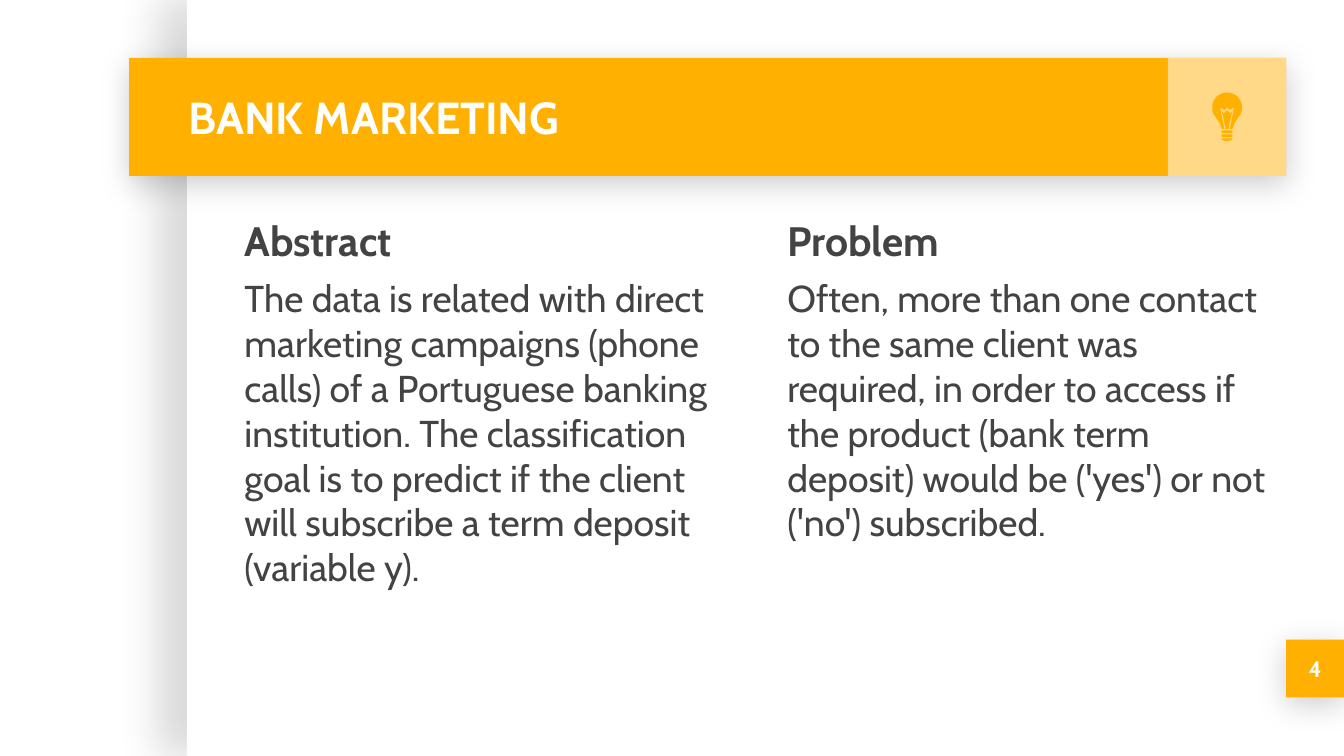
"""Build the bank marketing slide with its abstract and problem columns."""
from dataclasses import dataclass

from lxml import etree
from pptx import Presentation
from pptx import util as u
from pptx.dml import color as c
from pptx.enum import shapes, text
from pptx.oxml import ns


@dataclass(frozen=True)
class Theme:
    """Colours, font and type sizes of the slide."""
    font: str = "Cabin"
    accent: str = "FFB000"
    white: str = "FFFFFF"
    ink: str = "434343"
    shadow: str = "000000"
    title: int = 24
    heading: int = 22
    body: int = 20
    number: int = 12


THEME = Theme()
PANEL_SHADOW = dict(alpha=15, blur=22.5, dist=15, angle=180)
BAR_SHADOW = dict(alpha=20, blur=16.9, dist=3.8, angle=90)
WIDTH = 10
HEIGHT = WIDTH * 9 / 16
MARGIN = 0.1
BAR_TOP, BAR_HEIGHT, BAR_RIGHT = 0.43, 0.88, 9.57
BULB_X = 9.13
COLUMNS = [
    (1.72, "Abstract",
     "The data is related with direct marketing campaigns (phone calls) of a "
     "Portuguese banking institution. The classification goal is to predict if "
     "the client will subscribe a term deposit (variable y)."),
    (5.76, "Problem",
     "Often, more than one contact to the same client was required, in order to "
     "access if the product (bank term deposit) would be ('yes') or not ('no') "
     "subscribed."),
]
BULB_HALVES = [
    [(0, 1), (-0.04, 1), (-0.04, 1.02), (0, 1.02)],
    [(0, 0.97), (-0.04, 0.97), (-0.04, 0.99), (0, 0.99)],
    [(0, 1.03), (-0.04, 1.03), (-0.04, 1.04), (-0.01, 1.05), (0, 1.05)],
    [(0, 0.82), (-0.02, 0.84), (-0.03, 0.84), (-0.04, 0.82), (-0.01, 0.96),
     (0, 0.96)],
    [(0, 0.69), (-0.02, 0.69), (-0.05, 0.7), (-0.08, 0.72), (-0.1, 0.75),
     (-0.11, 0.78), (-0.11, 0.82), (-0.1, 0.85), (-0.08, 0.88), (-0.06, 0.91),
     (-0.05, 0.93), (-0.04, 0.96), (-0.02, 0.96), (-0.05, 0.81), (-0.05, 0.8),
     (-0.02, 0.82), (0, 0.8)],
]


def paint(sp, color, alpha=None):
    """Give a shape a plain fill without line or shadow."""
    sp.shadow.inherit = False
    sp.line.fill.background()
    sp.fill.solid()
    sp.fill.fore_color.rgb = c.RGBColor.from_string(color)
    if alpha:
        clr = sp.element.spPr.find(".//" + ns.qn("a:srgbClr"))
        etree.SubElement(clr, ns.qn("a:alpha"), val=str(alpha * 1000))


def cast_shadow(sp, alpha, blur, dist, angle):
    """Add an outer shadow to a painted shape."""
    effects = sp.element.spPr.find(ns.qn("a:effectLst"))
    outer = etree.SubElement(
        effects, ns.qn("a:outerShdw"), blurRad=str(u.Pt(blur)), dist=str(u.Pt(dist)),
        dir=str(angle * 60000), algn="bl", rotWithShape="0")
    clr = etree.SubElement(outer, ns.qn("a:srgbClr"), val=THEME.shadow)
    etree.SubElement(clr, ns.qn("a:alpha"), val=str(alpha * 1000))


def add_rect(s, x, y, w, h, color, alpha=None, shadow=None):
    """Add a filled rectangle."""
    sp = s.shapes.add_shape(shapes.MSO_SHAPE.RECTANGLE,
                            u.Inches(x), u.Inches(y), u.Inches(w), u.Inches(h))
    paint(sp, color, alpha)
    if shadow:
        cast_shadow(sp, **shadow)
    return sp


def set_frame(sp, anchor):
    """Set wrapping, anchor and margins of a text frame."""
    tf = sp.text_frame
    tf.word_wrap = True
    tf.auto_size = text.MSO_AUTO_SIZE.NONE
    tf.vertical_anchor = anchor
    tf.margin_left = tf.margin_right = u.Inches(MARGIN)
    tf.margin_top = tf.margin_bottom = u.Inches(MARGIN)
    return tf


def write(p, words, size, color, bold=False, before=0, align=text.PP_ALIGN.LEFT):
    """Write a formatted run into a paragraph."""
    p.alignment = align
    p.space_before = u.Pt(before)
    r = p.add_run()
    r.text = words
    r.font.name = THEME.font
    r.font.size = u.Pt(size)
    r.font.bold = bold
    r.font.color.rgb = c.RGBColor.from_string(color)


def add_title(s, words):
    """Place the title placeholder over the bar."""
    sp = s.shapes.title
    sp.left, sp.top = u.Inches(1.3), u.Inches(BAR_TOP)
    sp.width, sp.height = u.Inches(7.37), u.Inches(BAR_HEIGHT)
    s.shapes.element.append(sp.element)
    tf = set_frame(sp, text.MSO_ANCHOR.MIDDLE)
    write(tf.paragraphs[0], words, THEME.title, THEME.white, bold=True)


def add_column(s, x, heading, body):
    """Add a heading with its paragraph."""
    sp = s.shapes.add_textbox(u.Inches(x), u.Inches(1.5),
                              u.Inches(3.81), u.Inches(3.7))
    tf = set_frame(sp, text.MSO_ANCHOR.TOP)
    write(tf.paragraphs[0], heading, THEME.heading, THEME.ink, bold=True, before=6)
    write(tf.add_paragraph(), body, THEME.body, THEME.ink, before=6)


def add_page_number(s, number):
    """Add the numbered square at the right edge."""
    sp = add_rect(s, BAR_RIGHT, 4.76, 0.43, 0.43, THEME.accent, shadow=BAR_SHADOW)
    tf = set_frame(sp, text.MSO_ANCHOR.MIDDLE)
    write(tf.paragraphs[0], number, THEME.number, THEME.white, bold=True,
          align=text.PP_ALIGN.CENTER)


def add_bulb(s):
    """Draw the light bulb from left halves mirrored about its axis."""
    group = s.shapes.add_group_shape()
    for half in BULB_HALVES:
        outline = half + [(-x, y) for x, y in reversed(half)]
        points = [(u.Inches(BULB_X + x), u.Inches(y)) for x, y in outline]
        builder = group.shapes.build_freeform(*points[0])
        builder.add_line_segments(points[1:], close=True)
        paint(builder.convert_to_shape(), THEME.accent)


def main():
    """Build and save the slide."""
    prs = Presentation()
    prs.slide_width, prs.slide_height = u.Inches(WIDTH), u.Inches(HEIGHT)
    s = prs.slides.add_slide(prs.slide_layouts[5])
    add_rect(s, 1.39, 0, 8.61, HEIGHT, THEME.white, shadow=PANEL_SHADOW)
    add_rect(s, 0.96, BAR_TOP, 8.61, BAR_HEIGHT, THEME.accent, shadow=BAR_SHADOW)
    add_rect(s, BAR_RIGHT - BAR_HEIGHT, BAR_TOP, BAR_HEIGHT, BAR_HEIGHT,
             THEME.white, alpha=53)
    add_title(s, "BANK MARKETING")
    for column in COLUMNS:
        add_column(s, *column)
    add_page_number(s, "4")
    add_bulb(s)
    prs.save("out.pptx")


if __name__ == "__main__":
    main()
